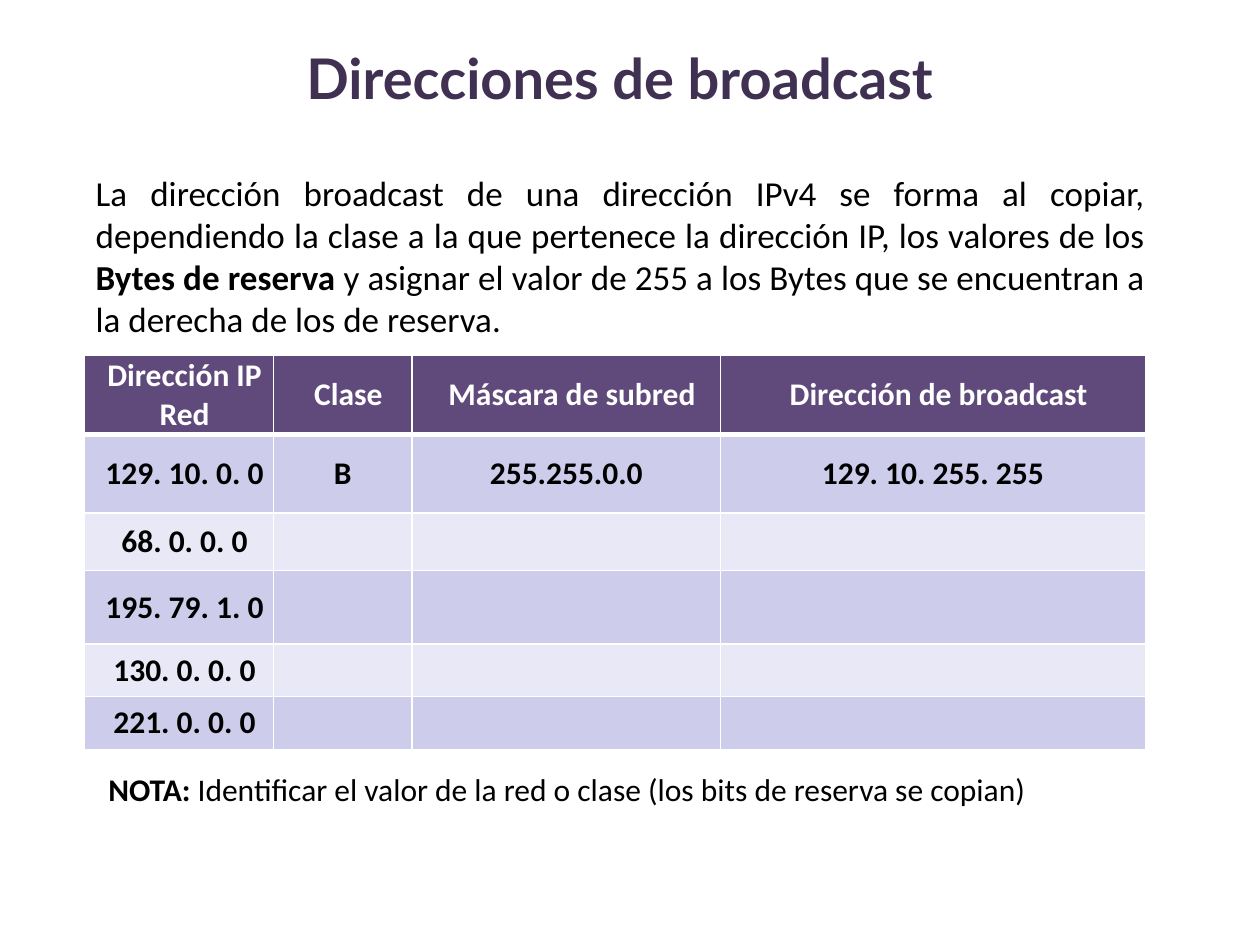
from pptx import Presentation
from pptx import util as u
from pptx.dml.color import RGBColor
from pptx.enum import text
from pptx.oxml import parse_xml
from pptx.oxml.ns import nsdecls

MID = text.MSO_ANCHOR.MIDDLE
TOP = text.MSO_ANCHOR.TOP
CENTER = text.PP_ALIGN.CENTER
JUST = text.PP_ALIGN.JUSTIFY


def tint(code):
    return RGBColor.from_string(code)


class Deck:
    face = "Calibri"
    ink = "000000"
    white = "FFFFFF"
    head = "604A7B"
    bands = ("CDCDEB", "E8E8F6")

    def __init__(self, wide, high):
        self.prs = Presentation()
        self.prs.slide_width = u.Inches(wide)
        self.prs.slide_height = u.Inches(high)
        self.slide = self.prs.slides.add_slide(self.prs.slide_layouts[6])

    def style(self, para, size, align, color=None, bold=None, face=None):
        para.alignment = align
        font = para.font
        font.size = u.Pt(size)
        font.name = face or self.face
        font.bold = bold
        font.color.rgb = tint(color or self.ink)

    def label(self, spot, parts, size, align=JUST, pad=(0, 0, 0, 0),
              anchor=TOP, **look):
        box = self.slide.shapes.add_textbox(*map(u.Inches, spot))
        frame = box.text_frame
        frame.word_wrap = True
        frame.vertical_anchor = anchor
        (frame.margin_left, frame.margin_top,
         frame.margin_right, frame.margin_bottom) = map(u.Inches, pad)
        para = frame.paragraphs[0]
        for words, bold in parts:
            run = para.add_run()
            run.text = words
            if bold:
                run.font.bold = True
        self.style(para, size, align, **look)

    def edge(self, cell, top, base):
        props = cell._tc.get_or_add_tcPr()
        sides = (("L", 1), ("R", 1), ("T", top), ("B", base))
        for spot, (side, width) in enumerate(sides):
            props.insert(spot, parse_xml(
                f'<a:ln{side} {nsdecls("a")} w="{u.Pt(width)}"><a:solidFill>'
                f'<a:srgbClr val="{self.white}"/></a:solidFill></a:ln{side}>'))

    def cell(self, cell, words, row, inset):
        cell.fill.solid()
        cell.fill.fore_color.rgb = tint(
            self.bands[(row - 1) % 2] if row else self.head)
        cell.margin_left = u.Inches(inset)
        cell.margin_top = cell.margin_right = cell.margin_bottom = 0
        cell.vertical_anchor = MID
        cell.text = words
        self.style(cell.text_frame.paragraphs[0], 18, CENTER,
                   self.ink if row else self.white, True)
        self.edge(cell, 3 if row == 1 else 1, 1 if row else 3)

    def table(self, left, top, cols, rows, data):
        grid = self.slide.shapes.add_table(
            len(rows), len(cols), u.Inches(left), u.Inches(top),
            u.Inches(sum(cols)), u.Inches(sum(rows))).table
        for col, width in zip(grid.columns, cols):
            col.width = u.Inches(width)
        for row, (height, words) in enumerate(zip(rows, data)):
            grid.rows[row].height = u.Inches(height)
            for col in range(len(cols)):
                inset = 0.09 if row == 0 or col == 0 else 0
                entry = words[col] if col < len(words) else ""
                self.cell(grid.cell(row, col), entry, row, inset)


def main():
    deck = Deck(10, 7.5)
    left, wide = 0.75, 8.34
    deck.label((left, 0.13, wide, 0.75), [("Direcciones de broadcast", False)],
               32, CENTER, (0, 0.21, 0, 0), MID,
               color="403152", bold=True, face="Lato")
    deck.label((left, 1.36, wide, 1.35), [
        ("La dirección broadcast de una dirección IPv4 se forma al copiar, "
         "dependiendo la clase a la que pertenece la dirección IP, "
         "los valores de los ", False),
        ("Bytes de reserva ", True),
        ("y asignar el valor de 255 a los Bytes que se encuentran "
         "a la derecha de los de reserva.", False)], 20, pad=(0.01, 0, 0, 0))
    deck.label((left, 6.06, wide, 0.4), [
        ("NOTA: ", True),
        ("Identificar el valor de la red o clase "
         "(los bits de reserva se copian)", False)],
        18, pad=(0.11, 0.05, 0.1, 0.05))
    deck.table(0.67, 2.82, (1.5, 1.1, 2.45, 3.37),
               (0.63, 0.62, 0.46, 0.58, 0.42, 0.42), [
        ("Dirección IP Red", "Clase", "Máscara de subred",
         "Dirección de broadcast"),
        ("129. 10. 0. 0", "B", "255.255.0.0", "129. 10. 255. 255"),
        ("68. 0. 0. 0",),
        ("195. 79. 1. 0",),
        ("130. 0. 0. 0",),
        ("221. 0. 0. 0",)])
    deck.prs.save("out.pptx")


if __name__ == "__main__":
    main()
